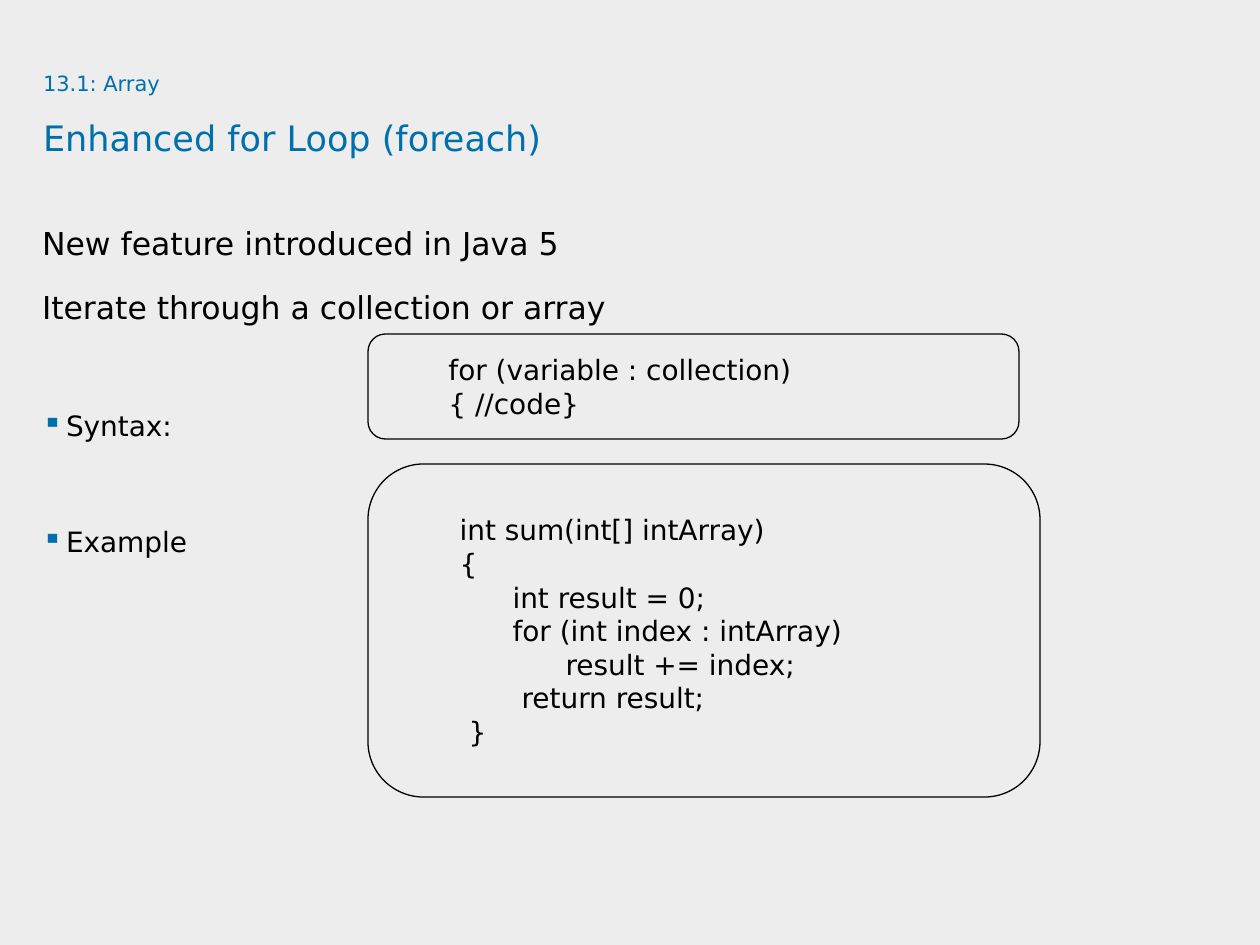
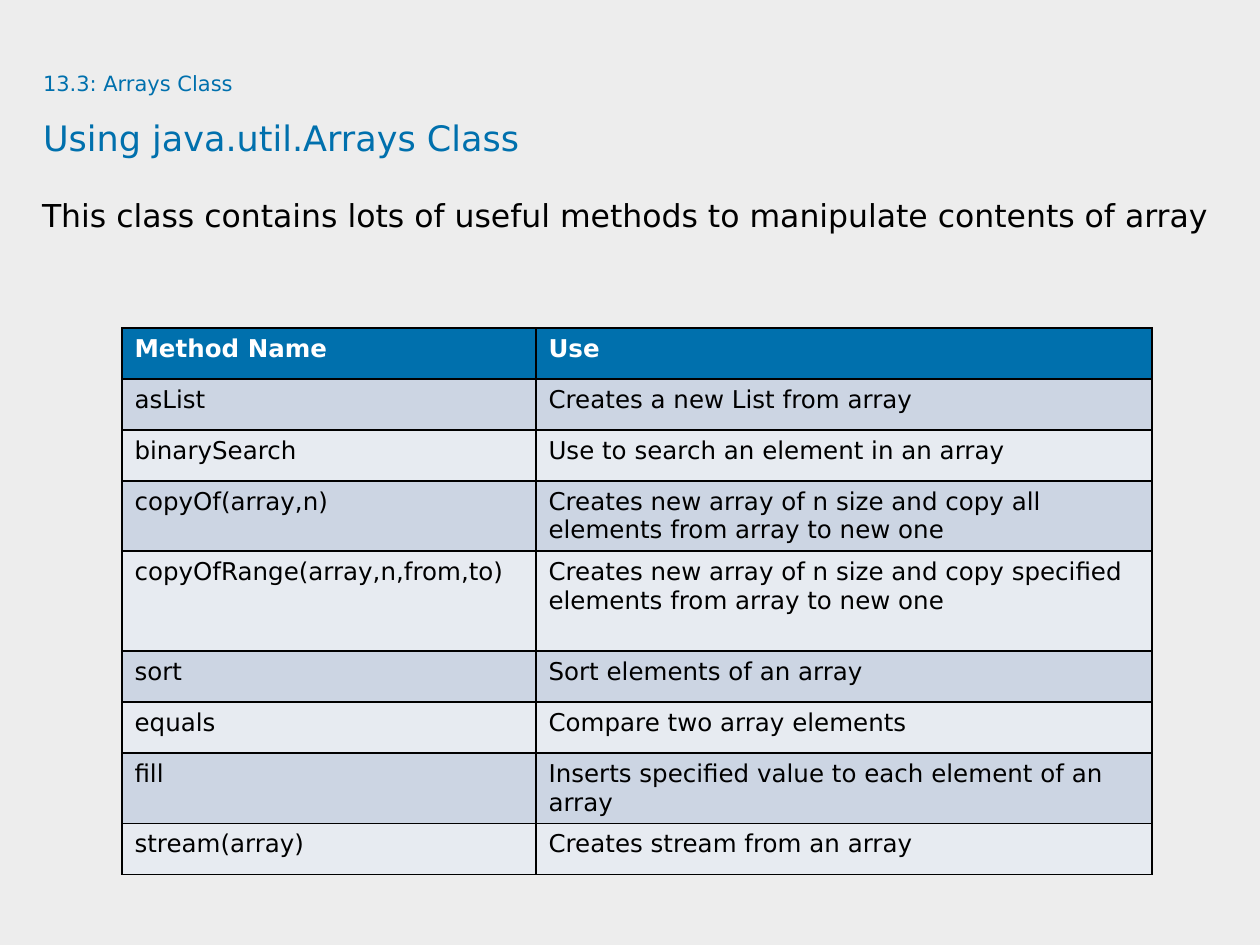
from dataclasses import dataclass
from typing import NamedTuple

from lxml import etree
from pptx import Presentation
from pptx import util as u
from pptx.dml.color import RGBColor
from pptx.enum import shapes, text
from pptx.oxml import ns

PX_PER_INCH = 126


def px(length: int) -> u.Emu:
    return u.Emu(round(length * u.Inches(1) / PX_PER_INCH))


@dataclass(frozen=True)
class Theme:
    font: str = "DejaVu Sans"
    background: str = "EDEDED"
    accent: str = "0070AD"
    ink: str = "000000"
    header_ink: str = "FFFFFF"
    bands: tuple[str, str] = ("CCD5E3", "E7EBF1")
    section_size: int = 12
    title_size: int = 20
    lead_size: int = 18
    detail_size: int = 16
    table_size: int = 14
    body_after: float = 4.5
    outline: float = 0.75
    border: int = 1


THEME = Theme()


class Box(NamedTuple):
    left: int
    top: int
    width: int
    height: int

    def emu(self) -> list[u.Emu]:
        return [px(length) for length in self]


class BodyLine(NamedTuple):
    text: str
    bulleted: bool = False
    spacing: float | u.Pt = 1.5


class CodeLine(NamedTuple):
    text: str
    indent: int = 0


class Method(NamedTuple):
    name: str
    use: str
    height: int = 51


TITLE_BOX = Box(43, 58, 1145, 118)
BODY_BOX = Box(42, 205, 1218, 640)
SYNTAX_BOX = Box(368, 334, 651, 105)
EXAMPLE_BOX = Box(368, 464, 672, 333)
TABLE_CORNER = (122, 328)
COLUMN_WIDTHS = (414, 616)
BULLET_INDENT = 24
BULLET_GAP = 33
CODE_MARGIN = 63

LOOP_BODY = [
    BodyLine("New feature introduced in Java 5"),
    BodyLine("Iterate through a collection or array"),
    BodyLine("Syntax:", bulleted=True),
    BodyLine("Example", bulleted=True),
]
SYNTAX_CODE = [CodeLine("for (variable : collection)"), CodeLine("{ //code}")]
EXAMPLE_CODE = [
    CodeLine("int sum(int[] intArray)"),
    CodeLine("{"),
    CodeLine("int result = 0;", 53),
    CodeLine("for (int index : intArray)", 53),
    CodeLine("result += index;", 106),
    CodeLine("return result;", 62),
    CodeLine("}", 9),
]
ARRAYS_BODY = [
    BodyLine(
        "This class contains lots of useful methods to manipulate contents of array",
        spacing=u.Pt(16.5),
    )
]
METHODS = [
    Method("Method Name", "Use"),
    Method("asList", "Creates a new List from array"),
    Method("binarySearch", "Use to search an element in an array"),
    Method("copyOf(array,n)",
           "Creates new array of n size and copy all elements from array to new one", 70),
    Method("copyOfRange(array,n,from,to)",
           "Creates new array of n size and copy specified elements from array to new one", 100),
    Method("sort", "Sort elements of an array"),
    Method("equals", "Compare two array elements"),
    Method("fill", "Inserts specified value to each element of an array", 70),
    Method("stream(array)", "Creates stream from an array"),
]


def style_paragraph(paragraph, size: int, color: str, bold: bool = False) -> None:
    paragraph.alignment = text.PP_ALIGN.LEFT
    for run in paragraph.runs:
        run.font.name = THEME.font
        run.font.size = u.Pt(size)
        run.font.bold = bold
        run.font.color.rgb = RGBColor.from_string(color)


def prepare_frame(frame) -> None:
    """Give a text frame no insets, top anchoring and wrapping."""
    frame.auto_size = text.MSO_AUTO_SIZE.NONE
    frame.word_wrap = True
    frame.vertical_anchor = text.MSO_ANCHOR.TOP
    frame.margin_left = frame.margin_top = frame.margin_right = frame.margin_bottom = 0


def indent_paragraph(paragraph, margin: int, first_line: int = 0) -> None:
    properties = paragraph._p.get_or_add_pPr()
    properties.set("marL", str(px(margin)))
    properties.set("indent", str(px(first_line)))


def add_bullet(paragraph) -> None:
    indent_paragraph(paragraph, BULLET_INDENT, -BULLET_INDENT)
    properties = paragraph._p.get_or_add_pPr()
    color = etree.SubElement(properties, ns.qn("a:buClr"))
    etree.SubElement(color, ns.qn("a:srgbClr"), val=THEME.accent)
    etree.SubElement(properties, ns.qn("a:buChar"), char="▪")


def add_titled_slide(presentation, section: str, title: str):
    slide = presentation.slides.add_slide(presentation.slide_layouts[5])
    shape = slide.shapes.title
    shape.left, shape.top, shape.width, shape.height = TITLE_BOX.emu()
    frame = shape.text_frame
    frame.text = f"{section}\n{title}"
    prepare_frame(frame)
    for paragraph, size in zip(frame.paragraphs, (THEME.section_size, THEME.title_size)):
        paragraph.line_spacing = 1.5
        style_paragraph(paragraph, size, THEME.accent)
    return slide


def add_body(slide, lines: list[BodyLine]) -> None:
    frame = slide.shapes.add_textbox(*BODY_BOX.emu()).text_frame
    frame.text = "\n".join(line.text for line in lines)
    prepare_frame(frame)
    for paragraph, line in zip(frame.paragraphs, lines):
        paragraph.line_spacing = line.spacing
        paragraph.space_after = u.Pt(THEME.body_after)
        if line.bulleted:
            paragraph.space_before = u.Pt(BULLET_GAP)
            add_bullet(paragraph)
        size = THEME.detail_size if line.bulleted else THEME.lead_size
        style_paragraph(paragraph, size, THEME.ink)


def add_code_box(slide, box: Box, lines: list[CodeLine]) -> None:
    shape = slide.shapes.add_shape(shapes.MSO_SHAPE.ROUNDED_RECTANGLE, *box.emu())
    shape.shadow.inherit = False
    shape.fill.background()
    shape.line.color.rgb = RGBColor.from_string(THEME.ink)
    shape.line.width = u.Pt(THEME.outline)
    frame = shape.text_frame
    frame.text = "\n".join(line.text for line in lines)
    frame.word_wrap = True
    frame.vertical_anchor = text.MSO_ANCHOR.MIDDLE
    for paragraph, line in zip(frame.paragraphs, lines):
        indent_paragraph(paragraph, CODE_MARGIN + line.indent)
        style_paragraph(paragraph, THEME.detail_size, THEME.ink)


def add_borders(cell) -> None:
    properties = cell._tc.get_or_add_tcPr()
    for side in ("lnL", "lnR", "lnT", "lnB"):
        line = etree.SubElement(properties, ns.qn(f"a:{side}"), w=str(u.Pt(THEME.border)))
        fill = etree.SubElement(line, ns.qn("a:solidFill"))
        etree.SubElement(fill, ns.qn("a:srgbClr"), val=THEME.ink)


def add_method_table(slide, methods: list[Method]) -> None:
    box = Box(*TABLE_CORNER, sum(COLUMN_WIDTHS), sum(method.height for method in methods))
    table = slide.shapes.add_table(len(methods), len(COLUMN_WIDTHS), *box.emu()).table
    table.horz_banding = False
    for column, width in zip(table.columns, COLUMN_WIDTHS):
        column.width = px(width)
    for index, (row, method) in enumerate(zip(table.rows, methods)):
        header = index == 0
        row.height = px(method.height)
        band = THEME.accent if header else THEME.bands[(index - 1) % 2]
        ink = THEME.header_ink if header else THEME.ink
        for cell, words in zip(row.cells, (method.name, method.use)):
            cell.text_frame.text = words
            style_paragraph(cell.text_frame.paragraphs[0], THEME.table_size, ink, bold=header)
            add_borders(cell)
            cell.fill.solid()
            cell.fill.fore_color.rgb = RGBColor.from_string(band)


def main() -> None:
    presentation = Presentation()
    presentation.slide_width, presentation.slide_height = px(1260), px(945)
    background = presentation.slide_master.background.fill
    background.solid()
    background.fore_color.rgb = RGBColor.from_string(THEME.background)

    loop_slide = add_titled_slide(presentation, "13.1: Array", "Enhanced for Loop (foreach)")
    add_body(loop_slide, LOOP_BODY)
    add_code_box(loop_slide, EXAMPLE_BOX, EXAMPLE_CODE)
    add_code_box(loop_slide, SYNTAX_BOX, SYNTAX_CODE)

    arrays_slide = add_titled_slide(
        presentation, "13.3: Arrays Class", "Using java.util.Arrays Class")
    add_body(arrays_slide, ARRAYS_BODY)
    add_method_table(arrays_slide, METHODS)

    presentation.save("out.pptx")


if __name__ == "__main__":
    main()
